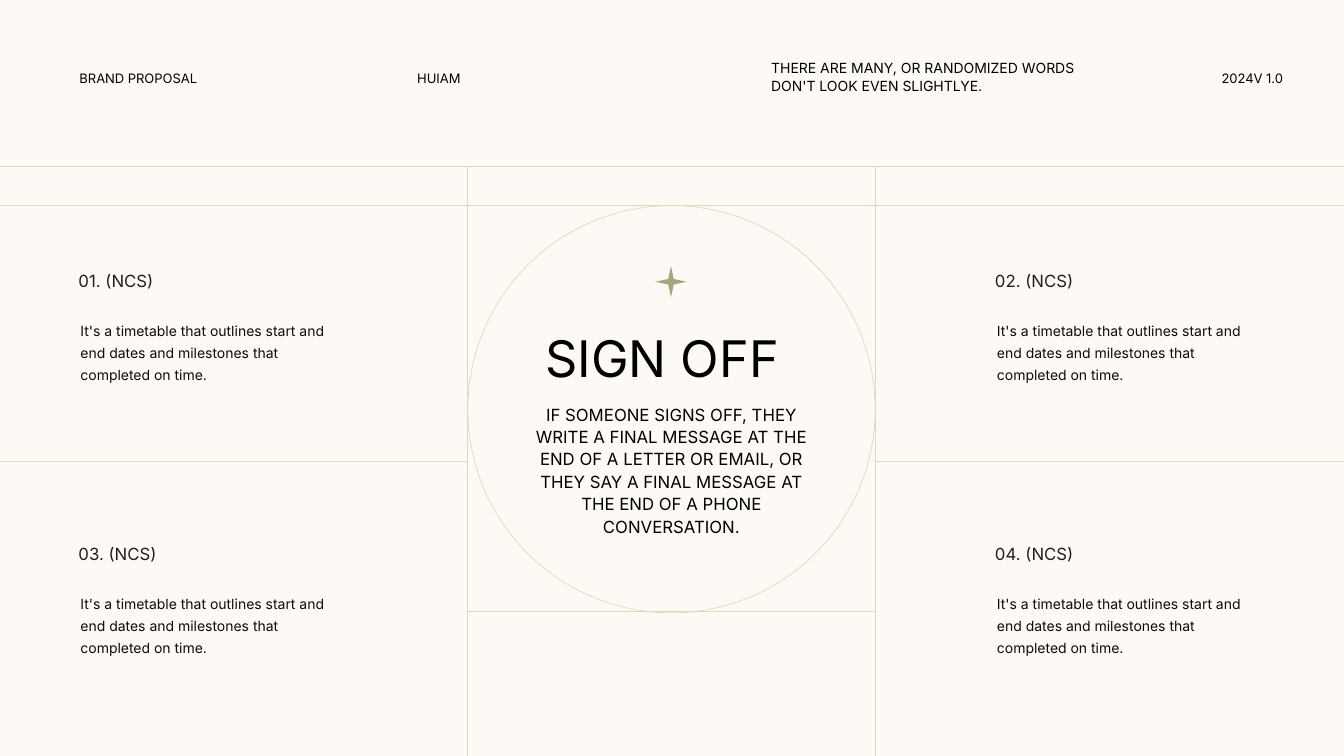
from lxml import etree
from pptx import Presentation
from pptx import util as u
from pptx.dml import color
from pptx.enum import shapes, text
from pptx.oxml import ns

INK, BODY_INK, SAND, OLIVE, CREAM = "000000", "0D0D0D", "E7D6BC", "A7A57F", "FDFAF5"


def rgb(value):
    return color.RGBColor.from_string(value)


class SlideBuilder:
    """Holds the slide and its style."""

    font = "Inter"
    rule_width = u.Pt(0.5)

    def __init__(self, slide):
        self.slide = slide
        fill = slide.background.fill
        fill.solid()
        fill.fore_color.rgb = rgb(CREAM)

    def rule(self, x1, y1, x2, y2):
        line = self.slide.shapes.add_connector(
            shapes.MSO_CONNECTOR.STRAIGHT, *map(u.Inches, (x1, y1, x2, y2)))
        line.line.color.rgb = rgb(SAND)
        line.line.width = self.rule_width
        etree.SubElement(line._element.spPr, ns.qn("a:effectLst"))

    def figure(self, kind, left, top, size, fill=None, outline=None):
        figure = self.slide.shapes.add_shape(
            kind, *map(u.Inches, (left, top, size, size)))
        figure.shadow.inherit = False
        if fill:
            figure.fill.solid()
            figure.fill.fore_color.rgb = rgb(fill)
        else:
            figure.fill.background()
        if outline:
            figure.line.color.rgb = rgb(outline)
            figure.line.width = self.rule_width
        else:
            figure.line.fill.background()

    def label(self, words, left, top, width, height, size, ink=INK,
              align=text.PP_ALIGN.LEFT, spacing=None, raised=False, alpha=None):
        box = self.slide.shapes.add_textbox(
            *map(u.Inches, (left, top, width, height)))
        frame = box.text_frame
        frame.word_wrap = True
        frame.auto_size = text.MSO_AUTO_SIZE.SHAPE_TO_FIT_TEXT
        frame.text = words
        paragraph = frame.paragraphs[0]
        paragraph.alignment = align
        if spacing:
            paragraph.line_spacing = u.Pt(spacing)
        font = paragraph.runs[0].font
        font.name, font.size = self.font, u.Pt(size)
        font.color.rgb = rgb(ink)
        properties = paragraph.runs[0]._r.get_or_add_rPr()
        if raised:
            properties.set("baseline", "30000")
        if alpha:
            tint = properties.find(".//" + ns.qn("a:srgbClr"))
            etree.SubElement(tint, ns.qn("a:alpha")).set("val", str(alpha * 1000))


def main():
    deck = Presentation()
    deck.slide_width, deck.slide_height = u.Inches(13.33), u.Inches(7.5)
    page = SlideBuilder(deck.slides.add_slide(deck.slide_layouts[6]))

    # Grid of rules around the central circle
    right_edge, bottom_edge = 13.33, 7.5
    header_y, circle_top, middle_y = 1.65, 2.04, 4.58
    circle_left, diameter = 4.64, 4.04
    circle_right = circle_left + diameter
    for y in (header_y, circle_top):
        page.rule(0, y, right_edge, y)
    for x in (circle_left, circle_right):
        page.rule(x, header_y, x, bottom_edge)
    page.rule(circle_left, 6.07, circle_right, 6.07)
    page.rule(0, middle_y, circle_left, middle_y)
    page.rule(circle_right, middle_y, right_edge, middle_y)

    # Header
    for words, left, width, align in (
            ("BRAND PROPOSAL", 0.69, 1.83, text.PP_ALIGN.LEFT),
            ("HUIAM", 4.04, 1.83, text.PP_ALIGN.LEFT),
            ("2024V 1.0 ", 11.82, 1.04, text.PP_ALIGN.RIGHT)):
        page.label(words, left, 0.62, width, 0.28, 16, align=align, raised=True)
    page.label("THERE ARE MANY, OR RANDOMIZED WORDS DON'T LOOK EVEN SLIGHTLYE.",
               7.55, 0.53, 3.38, 0.45, 10, spacing=13)

    # Centre: circle, star, title and message
    page.figure(shapes.MSO_SHAPE.OVAL, circle_left, circle_top, diameter, outline=SAND)
    page.figure(shapes.MSO_SHAPE.STAR_4_POINT, 6.5, 2.64, 0.31, fill=OLIVE)
    page.label("SIGN OFF", 5.31, 3.03, 2.7, 0.8, 36, spacing=55)
    page.label("IF SOMEONE SIGNS OFF, THEY WRITE A FINAL MESSAGE AT THE END OF A "
               "LETTER OR EMAIL, OR THEY SAY A FINAL MESSAGE AT THE END OF A PHONE "
               "CONVERSATION.",
               5.08, 3.94, 3.16, 1.43, 12, align=text.PP_ALIGN.CENTER, spacing=16)

    # Four numbered notes, row by row
    note = ("It's a timetable that outlines start and end dates and milestones "
            "that completed on time.")
    for index in range(4):
        row, column = divmod(index, 2)
        left, top = 0.68 + 9.09 * column, 2.64 + 2.71 * row
        page.label(f"0{index + 1}. (NCS)", left, top, 2.71, 0.3, 12, alpha=88)
        page.label(note, left + 0.02, top + 0.45, 2.64, 0.75, 10,
                   ink=BODY_INK, spacing=16)

    deck.save("out.pptx")


if __name__ == "__main__":
    main()
